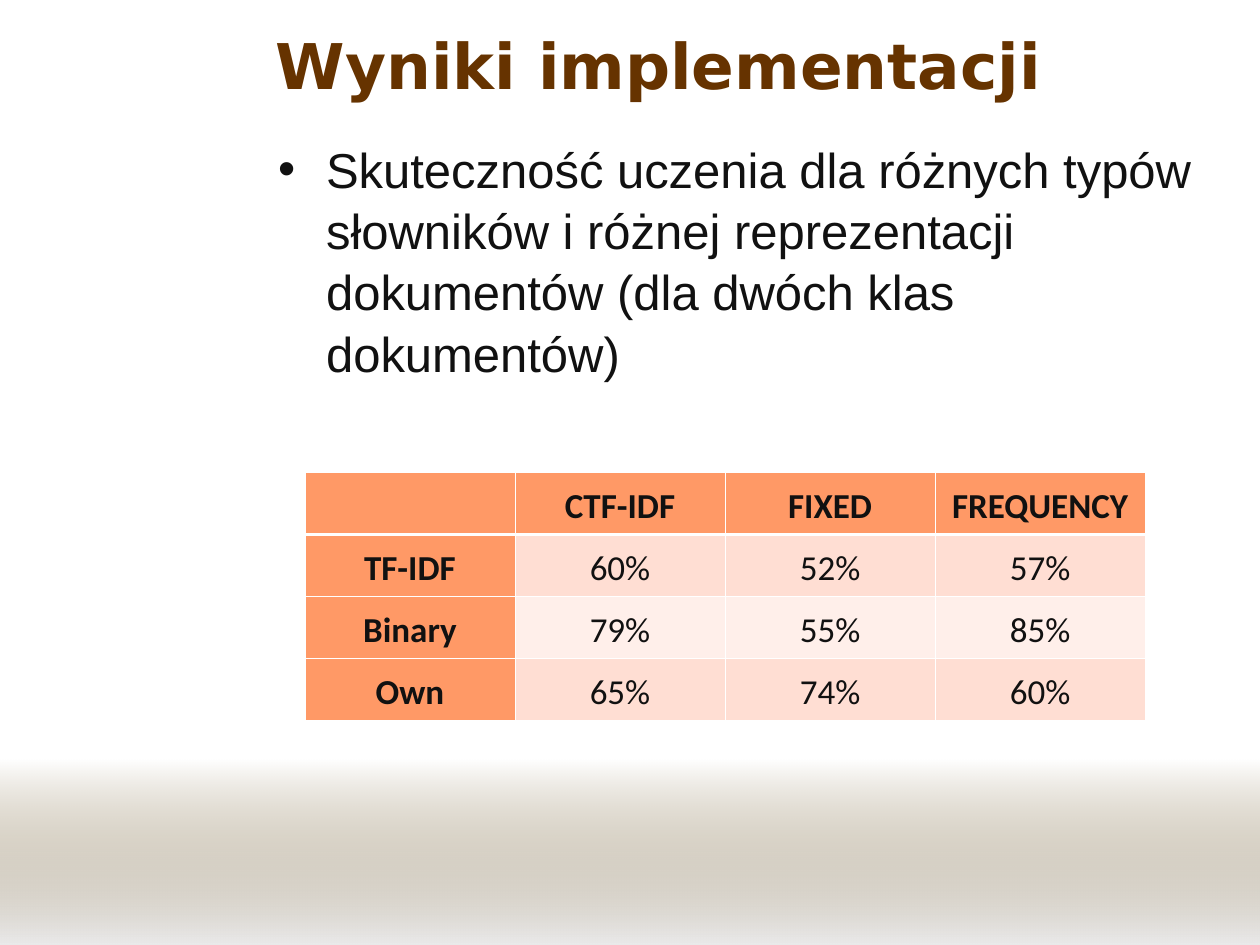
from dataclasses import dataclass

from lxml.etree import SubElement
from pptx import Presentation
from pptx.dml.color import RGBColor
from pptx.enum.shapes import MSO_SHAPE as Shape
from pptx.enum.text import MSO_ANCHOR as Anchor, MSO_AUTO_SIZE as AutoSize, PP_ALIGN as Align
from pptx.oxml import parse_xml
from pptx.oxml.ns import nsdecls, qn
from pptx.util import Inches, Pt

WIDTH, HEIGHT = Inches(10), Inches(7.5)

BROWN = RGBColor(0x66, 0x33, 0x00)
INK = RGBColor(0x11, 0x11, 0x11)
ORANGE = RGBColor(0xFF, 0x99, 0x66)
PEACH = RGBColor(0xFF, 0xDE, 0xD3)
PALE = RGBColor(0xFF, 0xEF, 0xEA)
OLIVE = RGBColor(0x76, 0x5E, 0x2F)
GREY = RGBColor(0xEA, 0xEA, 0xEA)
WHITE = RGBColor(0xFF, 0xFF, 0xFF)

THIN, THICK = 0.45, 1.47  # cell border widths in points

RESULTS = [
    ["", "CTF-IDF", "FIXED", "FREQUENCY"],
    ["TF-IDF", "60%", "52%", "57%"],
    ["Binary", "79%", "55%", "85%"],
    ["Own", "65%", "74%", "60%"],
]


@dataclass(frozen=True)
class Area:
    """A rectangle in percent of the slide's width and height."""
    left: float
    top: float
    width: float
    height: float

    def lengths(self) -> tuple:
        return (int(WIDTH * self.left / 100), int(HEIGHT * self.top / 100),
                int(WIDTH * self.width / 100), int(HEIGHT * self.height / 100))


@dataclass(frozen=True)
class Style:
    font: str
    size: float
    color: RGBColor
    bold: bool = False


TITLE_STYLE = Style("DejaVu Sans", 36, BROWN, True)
BODY_STYLE = Style("Arial", 28, INK)
LABEL_STYLE = Style("Calibri", 20, INK, True)
VALUE_STYLE = Style("Calibri", 20, INK)


def add_span(para, text: str, style: Style) -> None:
    span = para.add_run()
    span.text = text
    span.font.name = style.font
    span.font.size = Pt(style.size)
    span.font.bold = style.bold
    span.font.color.rgb = style.color


def set_frame(frame) -> None:
    frame.word_wrap = True
    frame.auto_size = AutoSize.NONE
    frame.vertical_anchor = Anchor.TOP
    frame.margin_top = 0


def draw_band(page, area: Area) -> None:
    band = page.shapes.add_shape(Shape.RECTANGLE, *area.lengths())
    band.shadow.inherit = False
    band.line.fill.background()
    band.fill.gradient()
    band.fill.gradient_angle = 270
    first, last = band.fill.gradient_stops
    first.color.rgb, first.position = OLIVE, 0
    last.color.rgb, last.position = GREY, 1
    # The upper end fades out completely
    clear = next(band.element.iter(qn("a:srgbClr")))
    SubElement(clear, qn("a:alpha")).set("val", "0")
    page.shapes.element.insert(2, band.element)


def draw_title(page, area: Area, text: str) -> None:
    title = page.shapes.title
    title.left, title.top, title.width, title.height = area.lengths()
    set_frame(title.text_frame)
    para = title.text_frame.paragraphs[0]
    para.alignment = Align.LEFT
    add_span(para, text, TITLE_STYLE)


def draw_bullet(page, area: Area, text: str) -> None:
    box = page.shapes.add_textbox(*area.lengths())
    set_frame(box.text_frame)
    para = box.text_frame.paragraphs[0]
    para.space_before = Pt(7)
    para.line_spacing = 1.04
    indent = Inches(0.38)
    props = para._p.get_or_add_pPr()
    props.set("marL", str(indent))
    props.set("indent", str(-indent))
    SubElement(props, qn("a:buFont")).set("typeface", BODY_STYLE.font)
    SubElement(props, qn("a:buChar")).set("char", "•")
    add_span(para, text, BODY_STYLE)


def set_borders(cell, top: float, bottom: float) -> None:
    props = cell._tc.get_or_add_tcPr()
    sides = {"lnL": THIN, "lnR": THIN, "lnT": top, "lnB": bottom}
    for place, (side, width) in enumerate(sides.items()):
        props.insert(place, parse_xml(
            f'<a:{side} {nsdecls("a")} w="{Pt(width)}"><a:solidFill>'
            f'<a:srgbClr val="{WHITE}"/></a:solidFill></a:{side}>'))


def draw_table(page, area: Area, rows: list[list[str]]) -> None:
    frame = page.shapes.add_table(len(rows), len(rows[0]), *area.lengths())
    table = frame.table
    table.first_row = table.horz_banding = False
    for row, texts in enumerate(rows):
        for column, text in enumerate(texts):
            cell = table.cell(row, column)
            is_label = row == 0 or column == 0
            cell.fill.solid()
            cell.fill.fore_color.rgb = ORANGE if is_label else PEACH if row % 2 else PALE
            cell.vertical_anchor = Anchor.MIDDLE
            cell.margin_left = cell.margin_right = Inches(0.08)
            set_borders(cell, THICK if row == 1 else THIN, THICK if row == 0 else THIN)
            if text:
                para = cell.text_frame.paragraphs[0]
                para.alignment = Align.CENTER
                para.line_spacing = 1.15
                para.space_after = Pt(10)
                add_span(para, text, LABEL_STYLE if is_label else VALUE_STYLE)


def main() -> None:
    deck = Presentation()
    deck.slide_width, deck.slide_height = WIDTH, HEIGHT
    page = deck.slides.add_slide(deck.slide_layouts[5])

    # Footer band
    draw_band(page, Area(0, 80.4, 100, 19.6))

    # Heading and statement
    draw_title(page, Area(20.9, 2.8, 71.7, 14.93), "Wyniki implementacji")
    draw_bullet(page, Area(21.1, 14.53, 75.6, 28.13),
                "Skuteczność uczenia dla różnych typów słowników i różnej "
                "reprezentacji dokumentów (dla dwóch klas dokumentów)")

    # Accuracy by dictionary and representation
    draw_table(page, Area(24.2, 50, 66.7, 21.6), RESULTS)

    deck.save("out.pptx")


if __name__ == "__main__":
    main()
